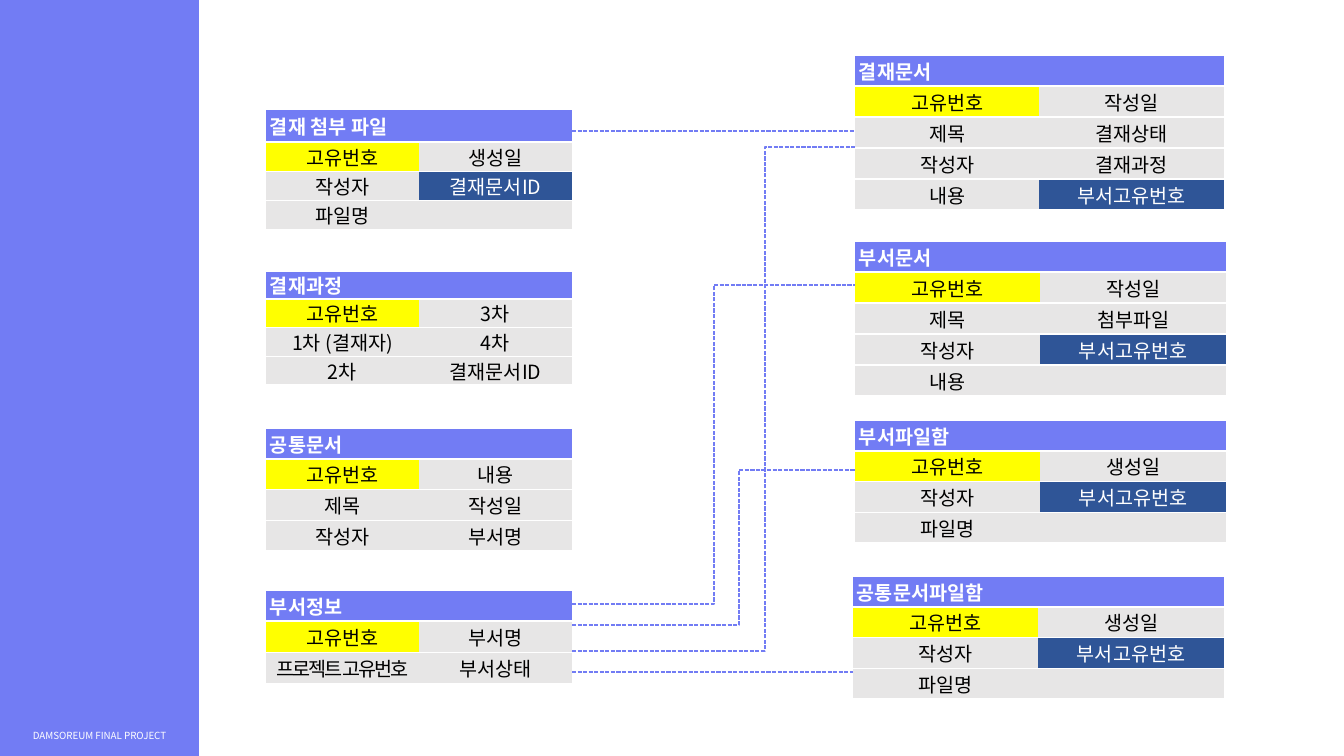
from lxml.etree import SubElement
from pptx import Presentation
from pptx.dml.color import RGBColor
from pptx.enum.dml import MSO_LINE
from pptx.enum.shapes import MSO_CONNECTOR, MSO_SHAPE
from pptx.enum.text import MSO_ANCHOR, PP_ALIGN
from pptx.oxml.ns import qn
from pptx.util import Emu, Pt

# Content: entities as box (x, y, w, h), header height, title, field rows, foreign key cell
LEFT, RIGHT = 266, 855
LEFT_W, RIGHT_W = 306, 371
LEFT_EDGE = LEFT + LEFT_W
FOOTER = "DAMSOREUM FINAL PROJECT"
ENTITIES = [
    dict(box=(LEFT, 109, LEFT_W, 121), head=33, title="결재 첨부 파일", fk=(2, 1),
         fields=[("고유번호", "생성일"), ("작성자", "결재문서ID"), ("파일명", "")]),
    dict(box=(LEFT, 271, LEFT_W, 114), head=28, title="결재과정", fk=None,
         fields=[("고유번호", "3차"), ("1차 (결재자)", "4차"), ("2차", "결재문서ID")]),
    dict(box=(LEFT, 428, LEFT_W, 123), head=31, title="공통문서", fk=None,
         fields=[("고유번호", "내용"), ("제목", "작성일"), ("작성자", "부서명")]),
    dict(box=(LEFT, 590, LEFT_W, 94), head=31, title="부서정보", fk=None,
         fields=[("고유번호", "부서명"), ("프로젝트 고유번호", "부서상태")]),
    dict(box=(RIGHT, 55, 369, 155), head=31, title="결재문서", fk=(4, 1),
         fields=[("고유번호", "작성일"), ("제목", "결재상태"),
                 ("작성자", "결재과정"), ("내용", "부서고유번호")]),
    dict(box=(RIGHT, 241, RIGHT_W, 155), head=31, title="부서문서", fk=(3, 1),
         fields=[("고유번호", "작성일"), ("제목", "첨부파일"),
                 ("작성자", "부서고유번호"), ("내용", "")]),
    dict(box=(RIGHT, 420, RIGHT_W, 123), head=31, title="부서파일함", fk=(2, 1),
         fields=[("고유번호", "생성일"), ("작성자", "부서고유번호"), ("파일명", "")]),
    dict(box=(853, 576, RIGHT_W, 123), head=31, title="공통문서파일함", fk=(2, 1),
         fields=[("고유번호", "생성일"), ("작성자", "부서고유번호"), ("파일명", "")]),
]
# Relations: start y, end x, end y, x of the turn (None for a straight line)
RELATIONS = [
    (651, RIGHT, 147, 765),
    (625, RIGHT, 470, 739),
    (604, RIGHT, 285, 714),
    (672, RIGHT, 672, None),
    (131, 870, 131, None),
]
TIGHT = {"프로젝트 고유번호": -150}  # letter spacing, hundredths of a point

THEME = dict(
    font="Noto Sans CJK KR", body=14, small=7, line=1,
    accent="727CF4", key="FFFF00", foreign="2F5597", field="E7E6E6",
    white="FFFFFF", black="000000",
)
NO_STYLE = "{2D5ABB26-0587-4C30-8999-92F81FD0307C}"


def px(n):
    return Emu(round(n * 914400 / 100.8))


def color(name):
    return RGBColor.from_string(THEME[name])


def write(tf, text, size, ink, bold=False, align=PP_ALIGN.CENTER):
    p = tf.paragraphs[0]
    p.text = text
    p.alignment = align
    if not text:
        SubElement(p._p, qn("a:endParaRPr"), sz=str(THEME[size] * 100))
    for r in p.runs:
        r.font.name, r.font.size, r.font.bold = THEME["font"], Pt(THEME[size]), bold
        r.font.color.rgb = color(ink)
        rPr = r.font._element
        SubElement(rPr, qn("a:ea"), typeface=THEME["font"])
        if text in TIGHT:
            rPr.set("spc", str(TIGHT[text]))


def format_cell(cell, text, fill, ink, **style):
    cell.margin_left = cell.margin_right = px(4)
    cell.margin_top = cell.margin_bottom = 0
    cell.vertical_anchor = MSO_ANCHOR.MIDDLE
    tcPr = cell._tc.get_or_add_tcPr()
    for side in ("a:lnT", "a:lnB"):
        ln = SubElement(tcPr, qn(side), w=str(Pt(THEME["line"])))
        SubElement(SubElement(ln, qn("a:solidFill")), qn("a:srgbClr"), val=THEME["white"])
    cell.fill.solid()
    cell.fill.fore_color.rgb = color(fill)
    write(cell.text_frame, text, "body", ink, **style)


def add_entity(slide, box, head, title, fields, fk):
    gf = slide.shapes.add_table(len(fields) + 1, 2, *map(px, box))
    table = gf.table
    table.first_row = table.horz_banding = False
    gf._element.find(".//" + qn("a:tableStyleId")).text = NO_STYLE
    for col in table.columns:
        col.width = px(box[2] / 2)
    for i, row in enumerate(table.rows):
        row.height = px((box[3] - head) / len(fields) if i else head)
    table.cell(0, 0).merge(table.cell(0, 1))
    format_cell(table.cell(0, 0), title, "accent", "white", bold=True, align=PP_ALIGN.LEFT)
    for i, names in enumerate(fields, 1):
        for j, name in enumerate(names):
            fill = "foreign" if (i, j) == fk else "key" if (i, j) == (1, 0) else "field"
            format_cell(table.cell(i, j), name, fill, "white" if fill == "foreign" else "black")


def add_relation(slide, y1, x2, y2, turn):
    kind = MSO_CONNECTOR.ELBOW if turn else MSO_CONNECTOR.STRAIGHT
    line = slide.shapes.add_connector(kind, *map(px, (LEFT_EDGE, y1, x2, y2)))
    line.line.color.rgb = color("accent")
    line.line.width = Pt(THEME["line"])
    line.line.dash_style = MSO_LINE.SQUARE_DOT
    spPr = line._element.spPr
    SubElement(spPr, qn("a:effectLst"))
    if turn:
        share = round((turn - LEFT_EDGE) / (x2 - LEFT_EDGE) * 100000)
        SubElement(spPr.find(".//" + qn("a:avLst")), qn("a:gd"), name="adj1", fmla=f"val {share}")


prs = Presentation()
prs.slide_width, prs.slide_height = px(1344), px(756)
slide = prs.slides.add_slide(prs.slide_layouts[6])

# Side band and footer
band = slide.shapes.add_shape(MSO_SHAPE.RECTANGLE, 0, 0, px(199), px(756))
band.shadow.inherit = False
band.fill.solid()
band.fill.fore_color.rgb = color("accent")
band.line.fill.background()
footer = slide.shapes.add_textbox(0, px(716), px(199), px(40))
tf = footer.text_frame
tf.word_wrap = True
tf.vertical_anchor = MSO_ANCHOR.MIDDLE
write(tf, FOOTER, "small", "white")

# Relations lie beneath the entity tables
for relation in RELATIONS:
    add_relation(slide, *relation)
for entity in ENTITIES:
    add_entity(slide, **entity)

prs.save("out.pptx")
